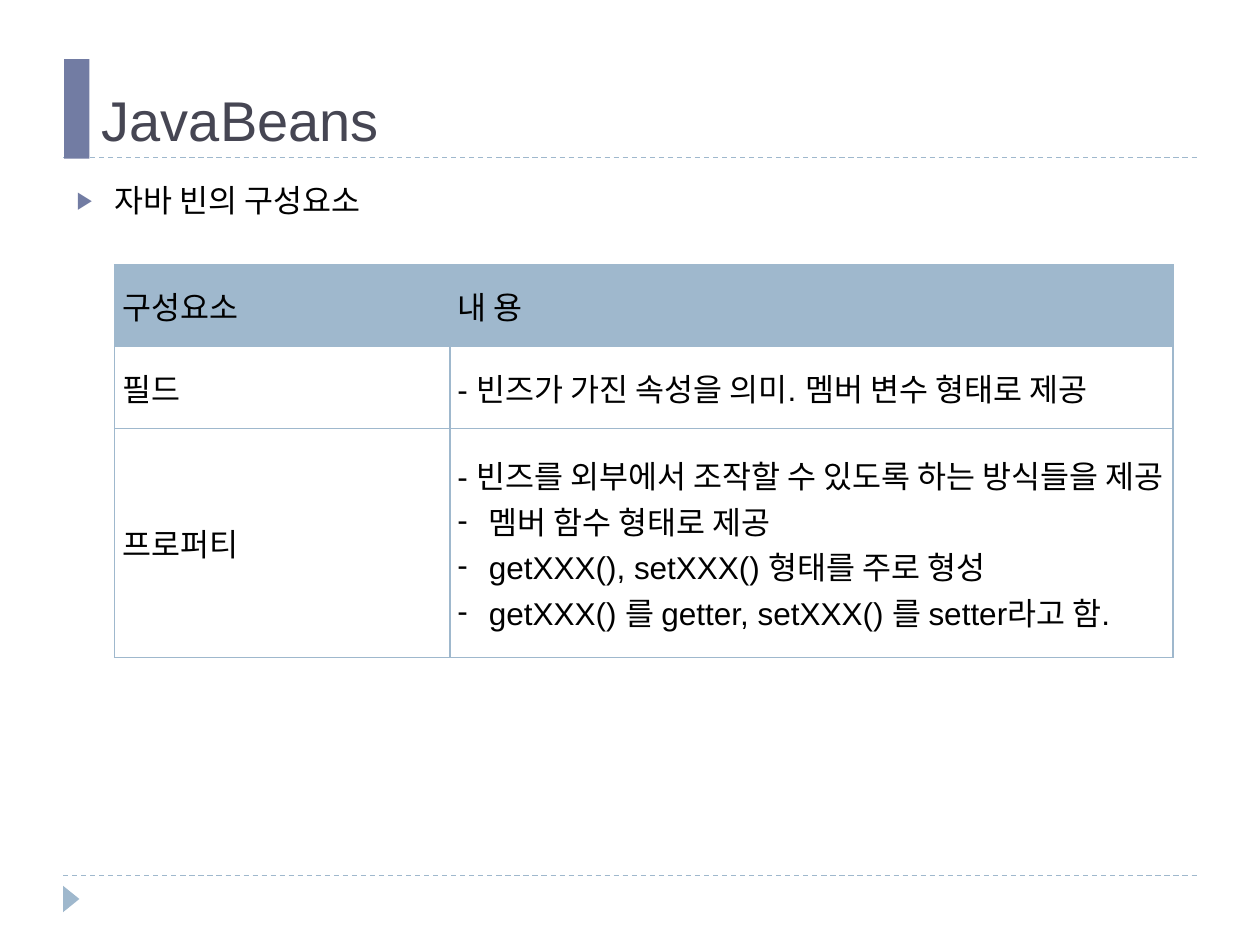
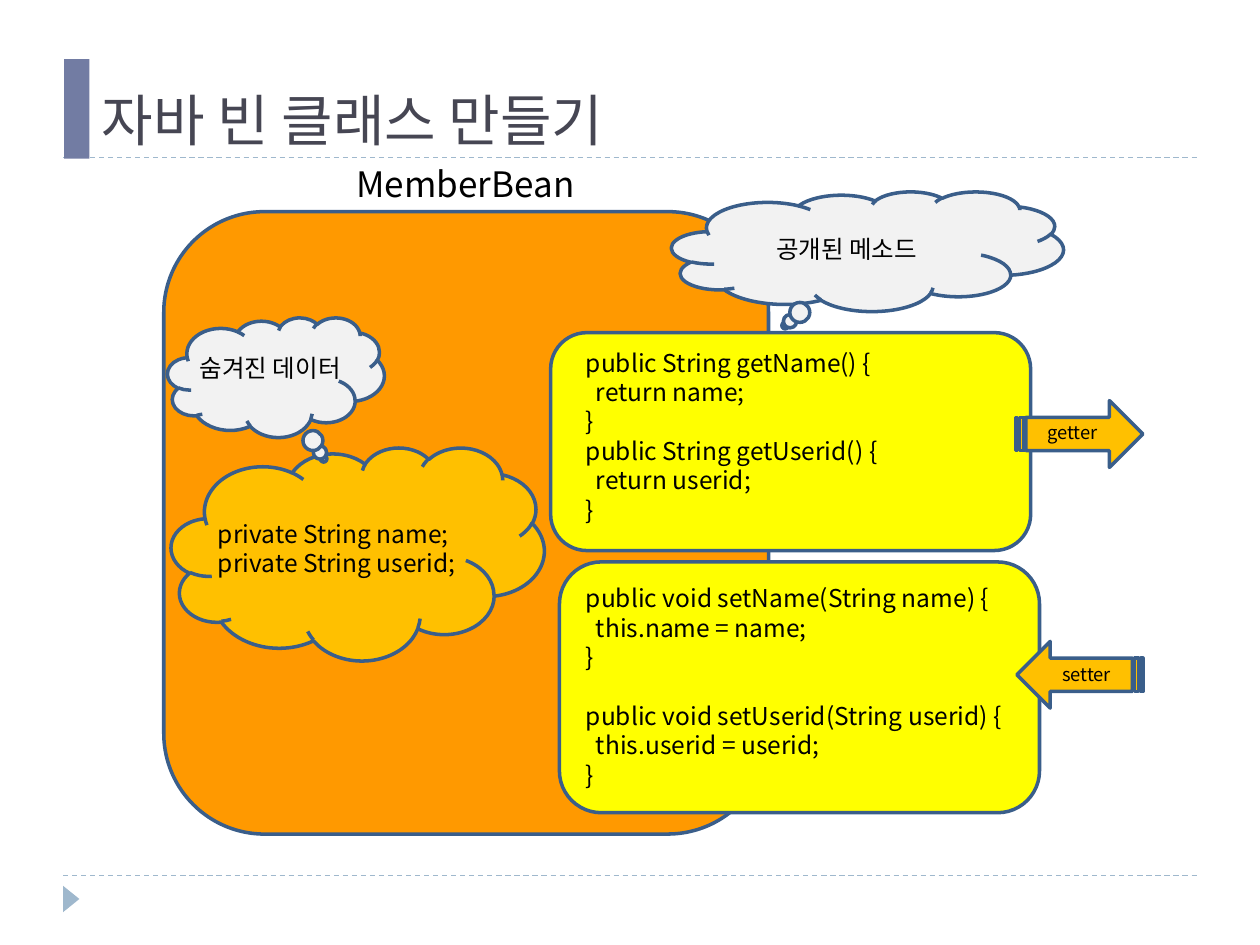
from lxml import etree
from pptx import Presentation
from pptx.dml.color import RGBColor
from pptx.enum.dml import MSO_LINE
from pptx.enum.shapes import MSO_CONNECTOR, MSO_SHAPE
from pptx.enum.text import MSO_ANCHOR, PP_ALIGN
from pptx.oxml.ns import qn
from pptx.util import Inches, Pt

# The slide is a grid of 100 columns by 75 rows; every box is (column, row, columns, rows).
WIDTH, HEIGHT = Inches(10), Inches(7.5)
COLUMN, ROW = WIDTH / 100, HEIGHT / 75

COLORS = {
    "title": "464653", "text": "000000", "band": "727CA3", "accent": "9FB8CD",
    "outline": "3A5E8A", "class": "FF9900", "methods": "FFFF00",
    "data": "FFC000", "bubble": "F2F2F2", "white": "FFFFFF",
}
TITLE_FONT, BODY_FONT, CODE_FONT = "Arial", "Cabin", "Noto Sans CJK KR"

# Content of the table slide
TABLE_TITLE = "JavaBeans"
TABLE_LEAD = "자바 빈의 구성요소"
TABLE_BOX = (9.1, 21, 84, 31.2)
TABLE_COLUMNS = (26.6, 57.4)
TABLE_ROWS = (6.5, 6.5, 18.2)
# A cell is a list of paragraphs; a tuple holds the bulleted ones.
TABLE_CELLS = [
    (["구성요소"], ["내 용"]),
    (["필드"], ["- 빈즈가 가진 속성을 의미. 멤버 변수 형태로 제공"]),
    (["프로퍼티"], ["- 빈즈를 외부에서 조작할 수 있도록 하는 방식들을 제공",
                ("멤버 함수 형태로 제공",
                 "getXXX(), setXXX() 형태를 주로 형성",
                 "getXXX() 를 getter, setXXX() 를 setter라고 함.")]),
]

# Content of the class diagram, from back to front: preset, box, fill, adjustments, rotation
DIAGRAM_TITLE = "자바 빈 클래스 만들기"
ROUND, CLOUD = MSO_SHAPE.ROUNDED_RECTANGLE, MSO_SHAPE.CLOUD
CALLOUT, ARROW = MSO_SHAPE.CLOUD_CALLOUT, MSO_SHAPE.STRIPED_RIGHT_ARROW
DIAGRAM_SHAPES = [
    (ROUND, (13, 16.8, 48, 49.4), "class", (), 0),
    (ROUND, (43.7, 26.4, 38.1, 17.3), "methods", (), 0),
    (CLOUD, (13.6, 35.5, 29.6, 16.9), "data", (), 0),
    (ROUND, (44.4, 44.6, 38.1, 19.9), "methods", (), 0),
    (CALLOUT, (53.3, 15.2, 31.1, 9.5), "bubble", (-0.21, 0.62), 0),
    (ARROW, (80.6, 31.8, 10.1, 5.3), "data", (), 0),
    (ARROW, (80.7, 50.9, 10, 5.3), "data", (), 180),
    (CALLOUT, (13.3, 25.2, 17.2, 9.5), "bubble", (0.22, 0.68), 0),
]
DIAGRAM_LABELS = [
    ("MemberBean", (15.3, 12.1, 43.3, 5), 20),
    ("getter", (81.5, 32.8, 7.2, 3), 10.5),
    ("setter", (83, 52, 6.5, 3), 10.5),
    ("공개된 메소드", (60, 18.2, 14.4, 3.1), 14),
    ("숨겨진 데이터", (14.4, 27.6, 14.1, 3.1), 14),
]
CODE_SIZE = 14
LINE_RATIO = 1.2
CODE_STEP = 0.08
# Each line of code: text, indent level, blank lines above
FIELDS = [("private String name;", 0, 0), ("private String userid;", 0, 0)]
GETTERS = [
    ("public String getName() {", 1, 0), ("return name;", 2, 0), ("}", 1, 0),
    ("public String getUserid() {", 1, 0), ("return userid;", 2, 0), ("}", 1, 0),
]
SETTERS = [
    ("public void setName(String name) {", 1, 0), ("this.name = name;", 2, 0), ("}", 1, 0),
    ("public void setUserid(String userid) {", 1, 1), ("this.userid = userid;", 2, 0),
    ("}", 1, 0),
]
CODE_BLOCKS = [
    (FIELDS, (16.8, 40.7, 25, 6.5)),
    (GETTERS, (45.2, 27.1, 40.8, 16)),
    (SETTERS, (45.2, 45.8, 40.8, 18)),
]


def color(name):
    """Return the named colour."""
    return RGBColor.from_string(COLORS[name])


def place(box):
    """Turn a grid box into left, top, width and height."""
    return [round(value * unit) for value, unit in zip(box, (COLUMN, ROW, COLUMN, ROW))]


def add_node(parent, tag, **attributes):
    """Append a drawing element with the given attributes."""
    node = etree.SubElement(parent, qn(tag))
    for key, value in attributes.items():
        node.set(key, str(value))
    return node


def add_bullet(paragraph, character, margin, bullet_color, size=100):
    """Give a paragraph a hanging bullet; the margin is in inches."""
    properties = paragraph._p.get_or_add_pPr()
    properties.set("marL", str(Inches(margin)))
    properties.set("indent", str(-Inches(margin)))
    add_node(add_node(properties, "a:buClr"), "a:srgbClr", val=COLORS[bullet_color])
    add_node(properties, "a:buSzPct", val=size * 1000)
    add_node(properties, "a:buFont", typeface="Arial")
    add_node(properties, "a:buChar", char=character)


def write(frame, text, first=False, font=CODE_FONT, size=18, ink="text", align=PP_ALIGN.LEFT,
          line=None, before=0, after=0, margin=0):
    """Write one paragraph into a text frame and return it."""
    paragraph = frame.paragraphs[0] if first else frame.add_paragraph()
    paragraph.alignment = align
    paragraph.space_before, paragraph.space_after = Pt(before), Pt(after)
    if line:
        paragraph.line_spacing = Pt(line)
    if margin:
        paragraph._p.get_or_add_pPr().set("marL", str(Inches(margin)))
    run = paragraph.add_run()
    run.text = text
    run.font.name, run.font.size = font, Pt(size)
    run.font.color.rgb = color(ink)
    add_node(run._r.get_or_add_rPr(), "a:ea", typeface=CODE_FONT)
    return paragraph


def add_frame(slide, box, anchor=MSO_ANCHOR.TOP, inset=0.05):
    """Add a wrapping text box and return its text frame."""
    frame = slide.shapes.add_textbox(*place(box)).text_frame
    frame.word_wrap = True
    frame.vertical_anchor = anchor
    frame.margin_left = frame.margin_right = Inches(inset)
    frame.margin_top = frame.margin_bottom = Inches(0.05)
    return frame


def add_shape(slide, preset, box, fill, adjustments=(), rotation=0, outline=True):
    """Add a filled preset shape, outlined unless told otherwise."""
    shape = slide.shapes.add_shape(preset, *place(box))
    shape.shadow.inherit = False
    shape.rotation = rotation
    for index, value in enumerate(adjustments):
        shape.adjustments[index] = value
    shape.fill.solid()
    shape.fill.fore_color.rgb = color(fill)
    if outline:
        shape.line.color.rgb = color("outline")
        shape.line.width = Pt(2)
    else:
        shape.line.fill.background()


def add_rule(slide, row):
    """Draw a dashed rule between the side margins."""
    left, top, right, _ = place((5, row, 95, 0))
    rule = slide.shapes.add_connector(MSO_CONNECTOR.STRAIGHT, left, top, right, top)
    rule.line.color.rgb = color("accent")
    rule.line.width = Pt(0.75)
    rule.line.dash_style = MSO_LINE.DASH
    add_node(rule._element.spPr, "a:effectLst")


def add_slide(presentation, title):
    """Add a slide with the shared rules, band, footer mark and title."""
    slide = presentation.slides.add_slide(presentation.slide_layouts[6])
    slide.background.fill.solid()
    slide.background.fill.fore_color.rgb = color("white")
    for row in (69.5, 12.5):
        add_rule(slide, row)
    add_shape(slide, MSO_SHAPE.ISOSCELES_TRIANGLE, (4.6, 70.7, 2.1, 1.3), "accent",
              rotation=90, outline=False)
    add_shape(slide, MSO_SHAPE.RECTANGLE, (5.1, 4.7, 2, 7.9), "band", outline=False)
    frame = add_frame(slide, (7.1, 4.7, 87.9, 7.9), MSO_ANCHOR.BOTTOM, inset=0.1)
    write(frame, title, first=True, font=TITLE_FONT, size=32, ink="title")
    return slide


def style_cell(cell, fill):
    """Set the borders, fill, insets and anchor of a cell."""
    properties = cell._tc.get_or_add_tcPr()
    for side, points in (("L", 1), ("R", 1), ("T", 0.75), ("B", 0.75)):
        border = add_node(properties, "a:ln" + side, w=Pt(points))
        add_node(add_node(border, "a:solidFill"), "a:srgbClr", val=COLORS["accent"])
    cell.fill.solid()
    cell.fill.fore_color.rgb = color(fill)
    cell.margin_left = cell.margin_right = Inches(0.06)
    cell.margin_top = cell.margin_bottom = Inches(0.06)
    cell.vertical_anchor = MSO_ANCHOR.MIDDLE


def fill_cell(cell, entries):
    """Write plain and bulleted paragraphs into a cell."""
    first = True
    for entry in entries:
        bulleted = isinstance(entry, tuple)
        for text in entry if bulleted else (entry,):
            paragraph = write(cell.text_frame, text, first=first, font=TITLE_FONT)
            first = False
            if bulleted:
                add_bullet(paragraph, "-", 0.25, "text")


def add_component_table(slide):
    """Add the table of bean components."""
    table = slide.shapes.add_table(len(TABLE_ROWS), len(TABLE_COLUMNS), *place(TABLE_BOX)).table
    table.first_row = table.horz_banding = False
    for column, width in zip(table.columns, TABLE_COLUMNS):
        column.width = round(width * COLUMN)
    for row, height in zip(table.rows, TABLE_ROWS):
        row.height = round(height * ROW)
    for row, contents in enumerate(TABLE_CELLS):
        for column, entries in enumerate(contents):
            cell = table.cell(row, column)
            style_cell(cell, "white" if row else "accent")
            fill_cell(cell, entries)


def add_code(slide, lines, box):
    """Add a block of code with indents and gaps."""
    frame = add_frame(slide, box)
    pitch = CODE_SIZE * LINE_RATIO
    for index, (text, level, gap) in enumerate(lines):
        write(frame, text, first=index == 0, size=CODE_SIZE, line=pitch,
              before=gap * pitch, margin=level * CODE_STEP)


def build_table_slide(presentation):
    """Build the slide that lists the components."""
    slide = add_slide(presentation, TABLE_TITLE)
    frame = add_frame(slide, (5.1, 13.9, 90, 6), inset=0.1)
    lead = write(frame, TABLE_LEAD, first=True, font=BODY_FONT, before=6, after=6)
    add_bullet(lead, "▶", 0.3, "band", size=76)
    add_component_table(slide)


def build_diagram_slide(presentation):
    """Build the slide that shows the bean class."""
    slide = add_slide(presentation, DIAGRAM_TITLE)
    for preset, box, fill, adjustments, rotation in DIAGRAM_SHAPES:
        add_shape(slide, preset, box, fill, adjustments, rotation)
    for lines, box in CODE_BLOCKS:
        add_code(slide, lines, box)
    for text, box, size in DIAGRAM_LABELS:
        write(add_frame(slide, box, MSO_ANCHOR.MIDDLE), text, first=True, size=size,
              align=PP_ALIGN.CENTER, line=size * LINE_RATIO)


presentation = Presentation()
presentation.slide_width, presentation.slide_height = WIDTH, HEIGHT
build_table_slide(presentation)
build_diagram_slide(presentation)
presentation.save("out.pptx")
